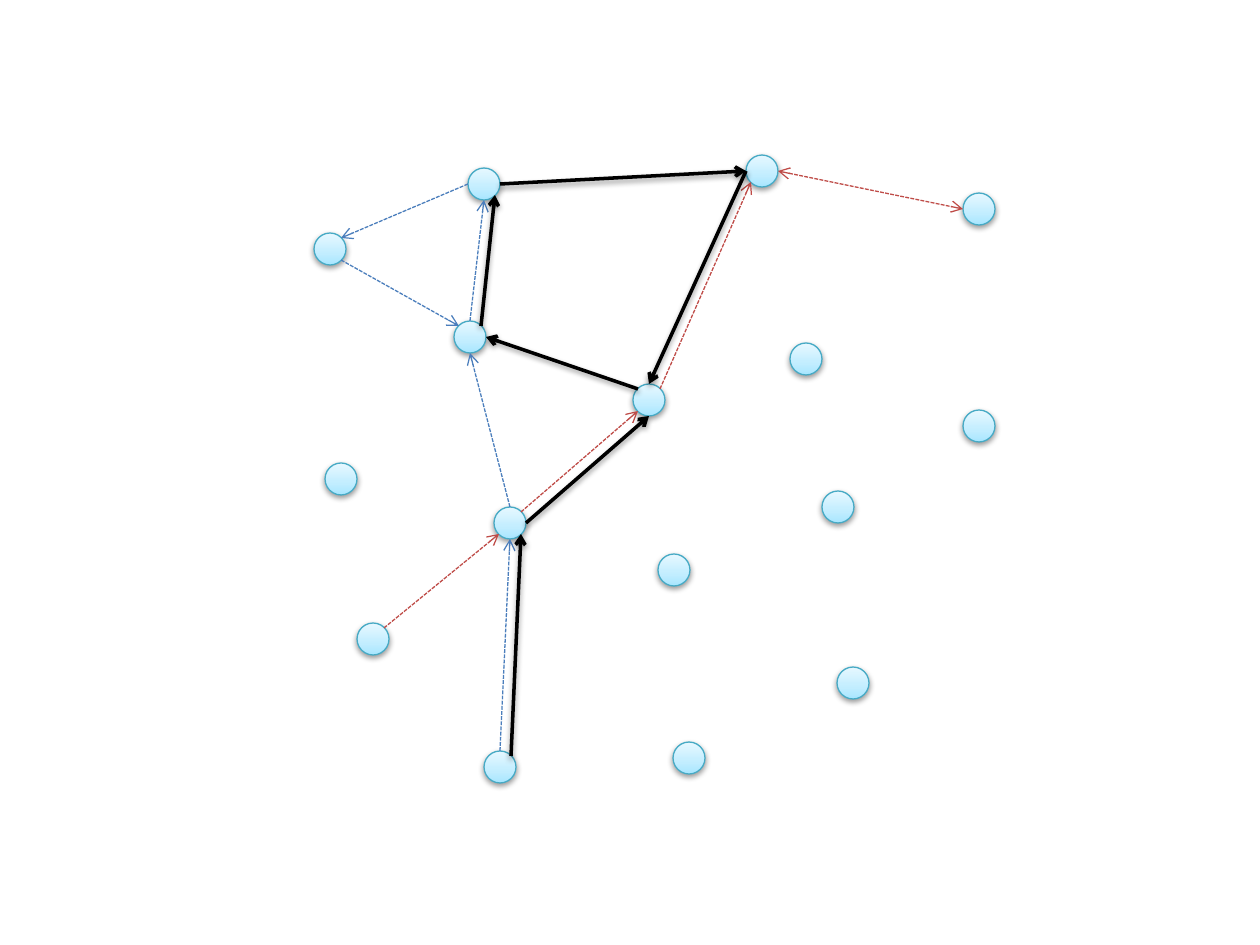
import copy

import lxml.etree
import pptx
import pptx.dml.color
import pptx.enum.dml
import pptx.enum.shapes
import pptx.oxml.ns
import pptx.util

EMU_PER_PX = 914400 / 126
qn = pptx.oxml.ns.qn


def px(length):
    return pptx.util.Emu(round(length * EMU_PER_PX))


def rgb(value):
    return pptx.dml.color.RGBColor.from_string(value)


class NetworkSlide:
    diameter = 32
    node_line = "46AAC5"
    node_stops = ((0, "A7E6FF"), (0.35, "C1EDFF"), (1, "E7F8FF"))
    site_offsets = {
        "n": (0, -16), "ne": (11, -11), "e": (16, 0), "se": (11, 11),
        "s": (0, 16), "sw": (-11, 11), "w": (-16, 0), "nw": (-11, -11),
    }

    def __init__(self, slide, nodes):
        self.slide = slide
        self.nodes = nodes

    def soft_shadow(self, effects):
        shadow = lxml.etree.SubElement(
            effects, qn("a:outerShdw"), blurRad="40000", dist="20000",
            dir="5400000", rotWithShape="0")
        black = lxml.etree.SubElement(shadow, qn("a:srgbClr"), val="000000")
        lxml.etree.SubElement(black, qn("a:alpha"), val="38000")

    def node(self, name):
        x, y = self.nodes[name]
        radius = self.diameter // 2
        circle = self.slide.shapes.add_shape(
            pptx.enum.shapes.MSO_SHAPE.OVAL, px(x - radius), px(y - radius),
            px(self.diameter), px(self.diameter))
        circle.fill.gradient()
        circle.fill.gradient_angle = 90
        stop_list = circle.element.spPr.find(".//" + qn("a:gsLst"))
        stop_list.append(copy.deepcopy(stop_list[-1]))
        for stop, (position, color) in zip(circle.fill.gradient_stops, self.node_stops):
            stop.position = position
            stop.color.rgb = rgb(color)
        circle.line.color.rgb = rgb(self.node_line)
        circle.line.width = pptx.util.Pt(0.75)
        circle.shadow.inherit = False
        self.soft_shadow(circle.element.spPr.find(qn("a:effectLst")))

    def site(self, name, side):
        x, y = self.nodes[name]
        dx, dy = self.site_offsets[side]
        return px(x + dx), px(y + dy)

    def arrow(self, start, end, color, width=0.75, dashed=True, both=False, shadow=False):
        link = self.slide.shapes.add_connector(
            pptx.enum.shapes.MSO_CONNECTOR.STRAIGHT,
            *self.site(*start), *self.site(*end))
        link.line.color.rgb = rgb(color)
        link.line.width = pptx.util.Pt(width)
        if dashed:
            link.line.dash_style = pptx.enum.dml.MSO_LINE.SQUARE_DOT
        properties = link.element.spPr
        outline = properties.find(qn("a:ln"))
        for tip in ("a:headEnd", "a:tailEnd") if both else ("a:tailEnd",):
            lxml.etree.SubElement(outline, qn(tip), type="arrow")
        effects = lxml.etree.SubElement(properties, qn("a:effectLst"))
        if shadow:
            self.soft_shadow(effects)


NODES = {
    "outpost": (330, 249), "apex": (484, 184), "junction": (470, 337),
    "hub": (649, 400), "peak": (762, 171), "far west": (341, 479),
    "relay": (510, 523), "centre": (674, 570), "upper east": (806, 359),
    "west": (373, 639), "source": (500, 767), "south": (689, 758),
    "middle east": (838, 507), "south east": (853, 683),
    "far east": (979, 426), "north east": (979, 209),
}
BLUE_ROUTE = [
    (("source", "n"), ("relay", "s")),
    (("relay", "n"), ("junction", "s")),
    (("junction", "n"), ("apex", "s")),
    (("apex", "w"), ("outpost", "ne")),
    (("outpost", "se"), ("junction", "nw")),
]
RED_ROUTE = [
    (("west", "ne"), ("relay", "sw")),
    (("relay", "ne"), ("hub", "sw")),
    (("hub", "ne"), ("peak", "sw")),
]
BLACK_ROUTE = [
    (("source", "ne"), ("relay", "se")),
    (("relay", "e"), ("hub", "s")),
    (("hub", "nw"), ("junction", "e")),
    (("junction", "ne"), ("apex", "se")),
    (("apex", "e"), ("peak", "w")),
    (("peak", "w"), ("hub", "n")),
]
BLUE, RED, BLACK = "4B7EBC", "BF4C48", "000000"


def main():
    deck = pptx.Presentation()
    deck.slide_width, deck.slide_height = px(1260), px(945)
    network = NetworkSlide(deck.slides.add_slide(deck.slide_layouts[6]), NODES)
    for name in NODES:
        network.node(name)
    for start, end in BLUE_ROUTE:
        network.arrow(start, end, BLUE)
    for start, end in RED_ROUTE:
        network.arrow(start, end, RED)
    network.arrow(("peak", "e"), ("north east", "w"), RED, both=True)
    for start, end in BLACK_ROUTE:
        network.arrow(start, end, BLACK, width=2, dashed=False, shadow=True)
    deck.save("out.pptx")


if __name__ == "__main__":
    main()
